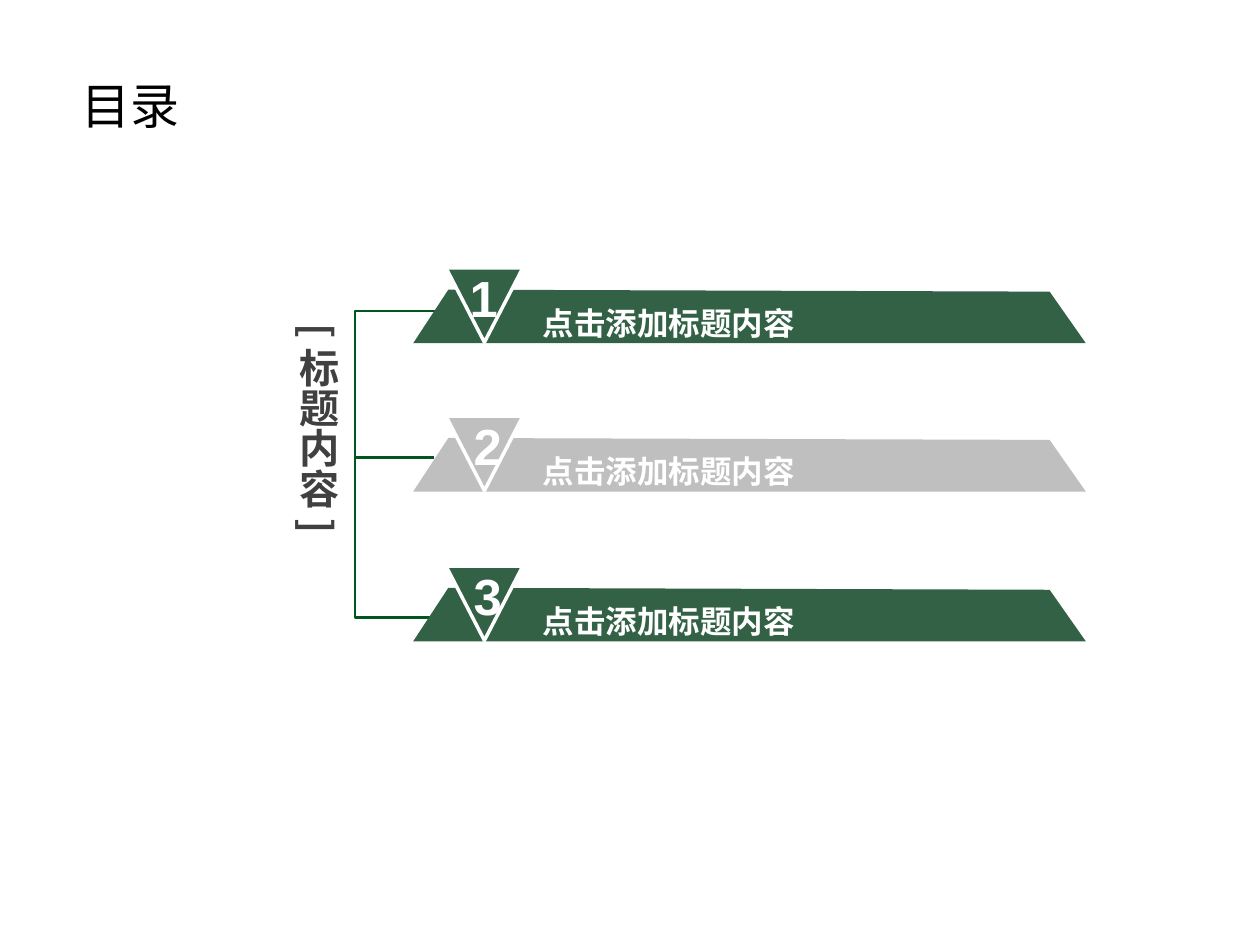
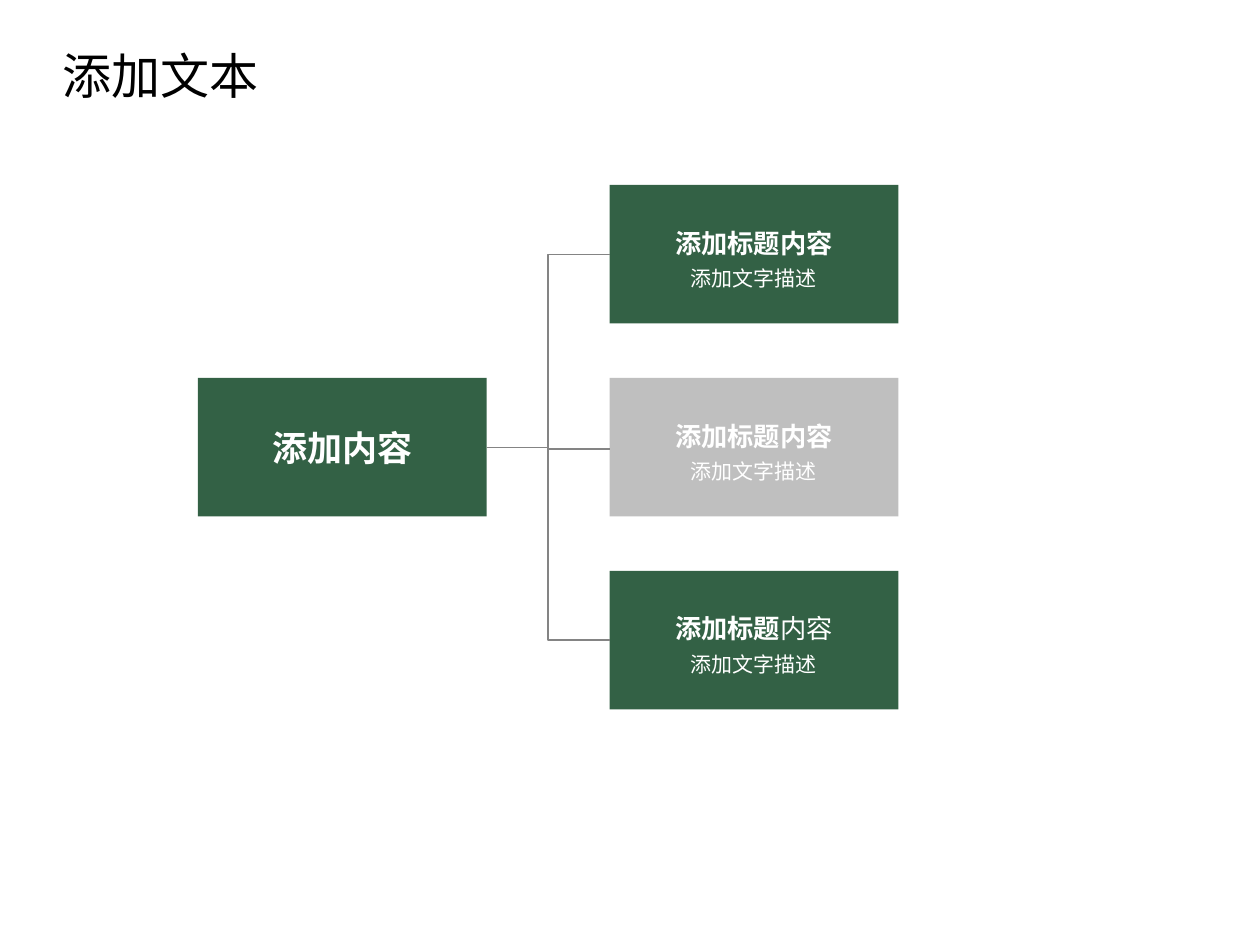
from lxml import etree
from pptx import Presentation
from pptx.dml.color import RGBColor
from pptx.enum.shapes import MSO_CONNECTOR, MSO_SHAPE
from pptx.enum.text import MSO_ANCHOR, MSO_AUTO_SIZE, PP_ALIGN
from pptx.oxml.ns import qn
from pptx.util import Cm, Pt

CENTER, LEFT = PP_ALIGN.CENTER, PP_ALIGN.LEFT
MIDDLE = MSO_ANCHOR.MIDDLE
GROW = MSO_AUTO_SIZE.SHAPE_TO_FIT_TEXT
RECTANGLE, TRIANGLE = MSO_SHAPE.RECTANGLE, MSO_SHAPE.ISOSCELES_TRIANGLE
STRAIGHT, ELBOW = MSO_CONNECTOR.STRAIGHT, MSO_CONNECTOR.ELBOW

GREEN, GRAY, WHITE, BLACK = "336145", "BFBFBF", "FFFFFF", "000000"
DARK_GREEN, LABEL_GRAY, LINE_GRAY = "00561F", "404040", "848484"
CJK_FONT, NUMBER_FONT = "Noto Sans CJK SC", "Arial"


def color(hex_code):
    return RGBColor.from_string(hex_code)


class Slides:
    """Holds the deck, its shared style and the page being drawn."""

    def __init__(self):
        self.deck = Presentation()
        self.deck.slide_width, self.deck.slide_height = Cm(25.4), Cm(19.05)
        self.page = None

    def new_page(self):
        self.page = self.deck.slides.add_slide(self.deck.slide_layouts[6])

    def paint(self, shape, fill=None, line=None, width=1):
        shape.shadow.inherit = False
        if fill:
            shape.fill.solid()
            shape.fill.fore_color.rgb = color(fill)
        else:
            shape.fill.background()
        if line:
            shape.line.color.rgb = color(line)
            shape.line.width = Pt(width)
        else:
            shape.line.fill.background()

    def span(self, para, text, size, ink, bold=False, font=CJK_FONT):
        run = para.add_run()
        run.text = text
        run.font.size, run.font.bold, run.font.name = Pt(size), bold, font
        run.font.color.rgb = color(ink)
        east_asian = etree.SubElement(run.font._element, qn("a:ea"))
        east_asian.set("typeface", font)

    def text(self, left, top, width, height, text, size, ink, bold=False,
             font=CJK_FONT, vertical=False):
        box = self.page.shapes.add_textbox(
            Cm(left), Cm(top), Cm(width), Cm(height))
        frame = box.text_frame
        frame.word_wrap, frame.auto_size = vertical, GROW
        if vertical:
            frame._txBody.bodyPr.set("vert", "eaVert")
            frame.margin_left = frame.margin_right = Cm(0.13)
            frame.margin_top = frame.margin_bottom = Cm(0.25)
        para = frame.paragraphs[0]
        para.alignment = CENTER if vertical else LEFT
        self.span(para, text, size, ink, bold, font)

    def title(self, left, top, width, text):
        self.text(left, top, width, 1.45, text, 28, BLACK)

    def outline(self, points, closed, **paint):
        corners = [(Cm(x), Cm(y)) for x, y in points]
        builder = self.page.shapes.build_freeform(*corners[0])
        builder.add_line_segments(corners[1:], close=closed)
        self.paint(builder.convert_to_shape(), **paint)

    def pointer(self, left, top, width, height, fill):
        """Draw a white-edged triangle that points down."""
        triangle = self.page.shapes.add_shape(
            TRIANGLE, Cm(left), Cm(top), Cm(width), Cm(height))
        triangle.rotation = 180
        self.paint(triangle, fill, WHITE, 2)

    def card(self, left, top, fill, lines, spacing=1.0):
        """Draw a box; each line is a list of (text, size, bold) spans."""
        box = self.page.shapes.add_shape(
            RECTANGLE, Cm(left), Cm(top), Cm(CARD_WIDTH), Cm(CARD_HEIGHT))
        self.paint(box, fill)
        frame = box.text_frame
        frame.word_wrap, frame.vertical_anchor = True, MIDDLE
        for index, spans in enumerate(lines):
            para = frame.add_paragraph() if index else frame.paragraphs[0]
            para.alignment, para.line_spacing = CENTER, spacing
            for text, size, bold in spans:
                self.span(para, text, size, WHITE, bold)

    def connect(self, kind, start, end, ink, width):
        line = self.page.shapes.add_connector(
            kind, *(Cm(value) for value in (*start, *end)))
        line.line.color.rgb = color(ink)
        line.line.width = Pt(width)
        etree.SubElement(line._element.spPr, qn("a:effectLst"))


CARD_WIDTH, CARD_HEIGHT = 5.82, 2.79


def contents_page(slides):
    slides.new_page()
    spine, first, last = 7.16, 6.27, 12.45
    slides.outline([(8.86, last), (spine, last), (spine, first), (8.94, first)],
                   closed=False, line=DARK_GREEN, width=1.5)
    slides.connect(STRAIGHT, (spine, 9.22), (8.74, 9.22), DARK_GREEN, 1.5)
    rows = [(5.84, GREEN, 9.22), (8.83, GRAY, 9.3), (11.85, GREEN, 9.3)]
    for number, (top, fill, number_left) in enumerate(rows, 1):
        slides.outline([(9.04, top), (21.16, top + 0.04),
                        (21.89, top + 1.08), (8.33, top + 1.08)],
                       closed=True, fill=fill)
        slides.text(10.69, top + 0.16, 5.59, 1.02, "点击添加标题内容",
                    18, WHITE, True)
        slides.pointer(8.99, top - 0.44, 1.55, 1.5, fill)
        slides.text(number_left, top - 0.59, 1.07, 1.5, str(number),
                    29, WHITE, True, NUMBER_FONT)
    slides.text(5.56, 6.27, 1.47, 6.53, "[ 标题内容 ]", 23, LABEL_GRAY, True,
                vertical=True)
    slides.title(1.4, 1.4, 2.77, "目录")


def tree_page(slides):
    slides.new_page()
    slides.title(1.02, 0.79, 4.45, "添加文本")
    root_left, branch_left, root_top, step = 3.99, 12.29, 7.62, 3.89
    whole = [("添加标题内容", 15, True)]
    split = [("添加标题", 15, True), ("内容", 15, False)]
    description = [("添加文字描述", 12, False)]
    branches = [(GREEN, whole), (GRAY, whole), (GREEN, split)]
    for index, (fill, heading) in enumerate(branches):
        slides.card(branch_left, root_top + (index - 1) * step, fill,
                    [heading, description], 1.3)
    slides.card(root_left, root_top, GREEN, [[("添加内容", 20, True)]])
    root_end = (root_left + CARD_WIDTH, root_top + CARD_HEIGHT / 2)
    for branch_middle in (9.05, 5.13, 12.9):
        slides.connect(ELBOW, root_end, (branch_left, branch_middle),
                       LINE_GRAY, 0.75)


def main():
    slides = Slides()
    contents_page(slides)
    tree_page(slides)
    slides.deck.save("out.pptx")


if __name__ == "__main__":
    main()
